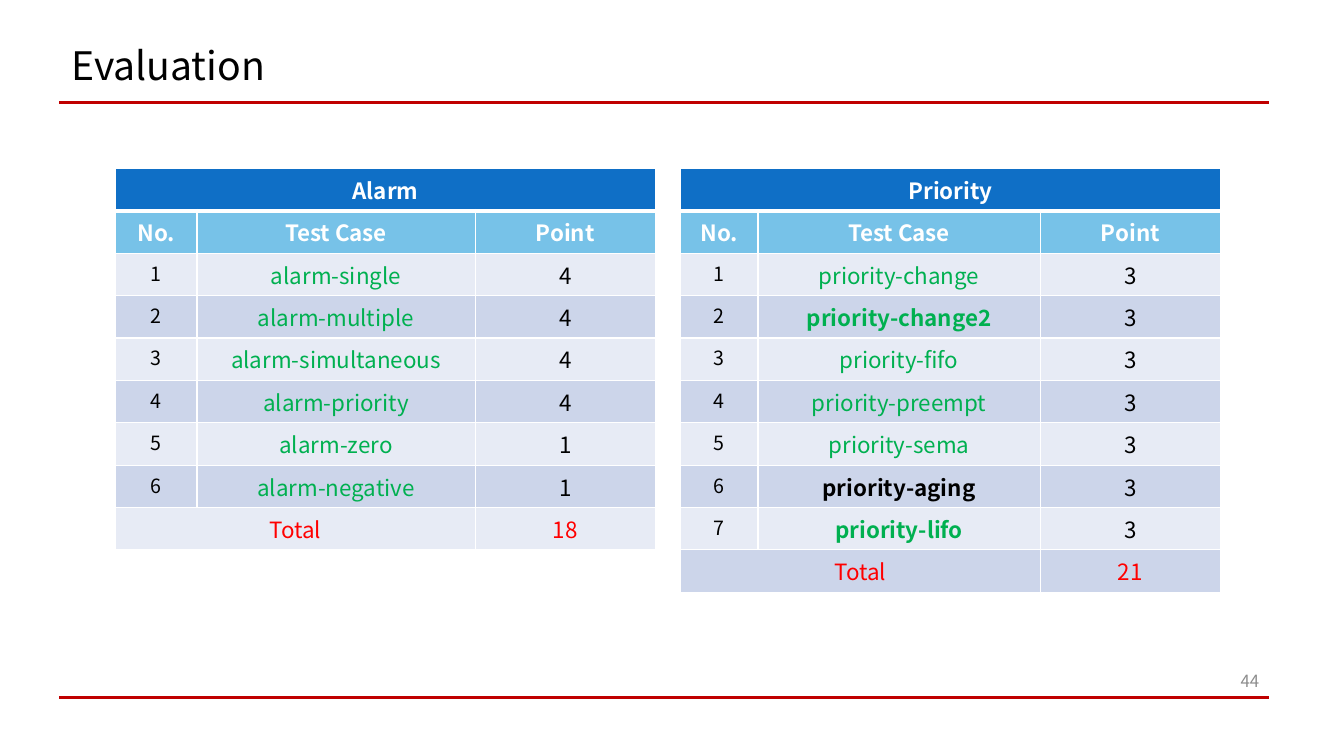
from pptx import Presentation
from pptx.dml.color import RGBColor
from pptx.enum.shapes import MSO_CONNECTOR
from pptx.enum.text import MSO_ANCHOR as Anchor, PP_ALIGN as Align
from pptx.oxml.ns import qn
from pptx.util import Pt
from lxml.etree import SubElement

WHITE, BLACK, RED, GREEN = "FFFFFF", "000000", "FF0000", "00B050"
BANDS = "E7EBF5", "CCD5EA"
ROW_HEIGHT = 30.3


def rgb(color):
    return RGBColor.from_string(color)


class SlideBuilder:
    font_name = "Noto Sans CJK KR"
    rule_color = "C00000"
    banner_fill = "0F6FC6"
    heading_fill = "77C2E8"

    def __init__(self, slide):
        self.slide = slide

    def set_text(self, frame, text, size, color, align, bold=False):
        paragraph = frame.paragraphs[0]
        paragraph.text = text
        paragraph.alignment = align
        font = paragraph.font
        font.name, font.size, font.bold = self.font_name, Pt(size), bold
        font.color.rgb = rgb(color)
        return paragraph

    def text(self, text, left, top, width, height, size, color, align=Align.LEFT):
        box = self.slide.shapes.add_textbox(Pt(left), Pt(top), Pt(width), Pt(height))
        frame = box.text_frame
        frame.word_wrap = True
        frame.vertical_anchor = Anchor.MIDDLE
        return self.set_text(frame, text, size, color, align)

    def rule(self, left, right, y):
        rule = self.slide.shapes.add_connector(
            MSO_CONNECTOR.STRAIGHT, Pt(left), Pt(y), Pt(right), Pt(y))
        rule.line.color.rgb = rgb(self.rule_color)
        rule.line.width = Pt(2.25)
        SubElement(rule._element.spPr, qn("a:effectLst"))

    def borders(self, cell, top=1, bottom=1):
        properties = cell._tc.get_or_add_tcPr()
        for side, width in (("L", 1), ("R", 1), ("T", top), ("B", bottom)):
            line = SubElement(properties, qn(f"a:ln{side}"), w=str(Pt(width)))
            fill = SubElement(line, qn("a:solidFill"))
            SubElement(fill, qn("a:srgbClr"), val=WHITE)

    def cell(self, cell, text, fill, color, size=16, bold=False):
        cell.fill.solid()
        cell.fill.fore_color.rgb = rgb(fill)
        self.set_text(cell.text_frame, text, size, color, Align.CENTER, bold)

    def score_table(self, group, left, top, widths, tests):
        """Draw a banner, headings, one row per (name, points, color, bold) and a total."""
        count = len(tests) + 3
        table = self.slide.shapes.add_table(
            count, 3, Pt(left), Pt(top), Pt(sum(widths)), Pt(count * ROW_HEIGHT)).table
        for column, width in zip(table.columns, widths):
            column.width = Pt(width)
        for index, row in enumerate(table.rows):
            row.height = Pt(ROW_HEIGHT)
            for cell in row.cells:
                self.borders(cell, top=3 if index == 1 else 1, bottom=3 if index == 0 else 1)

        table.cell(0, 0).merge(table.cell(0, 2))
        self.cell(table.cell(0, 0), group, self.banner_fill, WHITE, bold=True)
        for column, heading in enumerate(("No.", "Test Case", "Point")):
            self.cell(table.cell(1, column), heading, self.heading_fill, WHITE, bold=True)

        for number, (name, points, color, bold) in enumerate(tests, 1):
            band = BANDS[(number - 1) % 2]
            number_cell, name_cell, points_cell = table.rows[number + 1].cells
            self.cell(number_cell, str(number), band, BLACK, size=14)
            self.cell(name_cell, name, band, color, bold=bold)
            self.cell(points_cell, str(points), band, BLACK)

        last = count - 1
        band = BANDS[len(tests) % 2]
        table.cell(last, 0).merge(table.cell(last, 1))
        self.cell(table.cell(last, 0), "Total", band, RED)
        total = sum(points for _, points, _, _ in tests)
        self.cell(table.cell(last, 2), str(total), band, RED)


ALARM_TESTS = [
    ("alarm-single", 4, GREEN, False),
    ("alarm-multiple", 4, GREEN, False),
    ("alarm-simultaneous", 4, GREEN, False),
    ("alarm-priority", 4, GREEN, False),
    ("alarm-zero", 1, GREEN, False),
    ("alarm-negative", 1, GREEN, False),
]
PRIORITY_TESTS = [
    ("priority-change", 3, GREEN, False),
    ("priority-change2", 3, GREEN, True),
    ("priority-fifo", 3, GREEN, False),
    ("priority-preempt", 3, GREEN, False),
    ("priority-sema", 3, GREEN, False),
    ("priority-aging", 3, BLACK, True),
    ("priority-lifo", 3, GREEN, True),
]


def main():
    deck = Presentation()
    deck.slide_width, deck.slide_height = Pt(960), Pt(540)
    builder = SlideBuilder(deck.slides.add_slide(deck.slide_layouts[6]))

    for y in (73.2, 498):
        builder.rule(42.5, 906.5, y)
    title = builder.text("Evaluation", 44, 29.5, 828, 38, 28, BLACK)
    title.line_spacing = 0.9
    builder.text("44", 871, 471.5, 35.5, 29, 12, "8C8C8C", Align.RIGHT)

    builder.score_table("Alarm", 82.4, 120.3, (58.3, 198.7, 128.9), ALARM_TESTS)
    builder.score_table("Priority", 486, 120.3, (55.4, 201.6, 128.9), PRIORITY_TESTS)
    deck.save("out.pptx")


if __name__ == "__main__":
    main()
